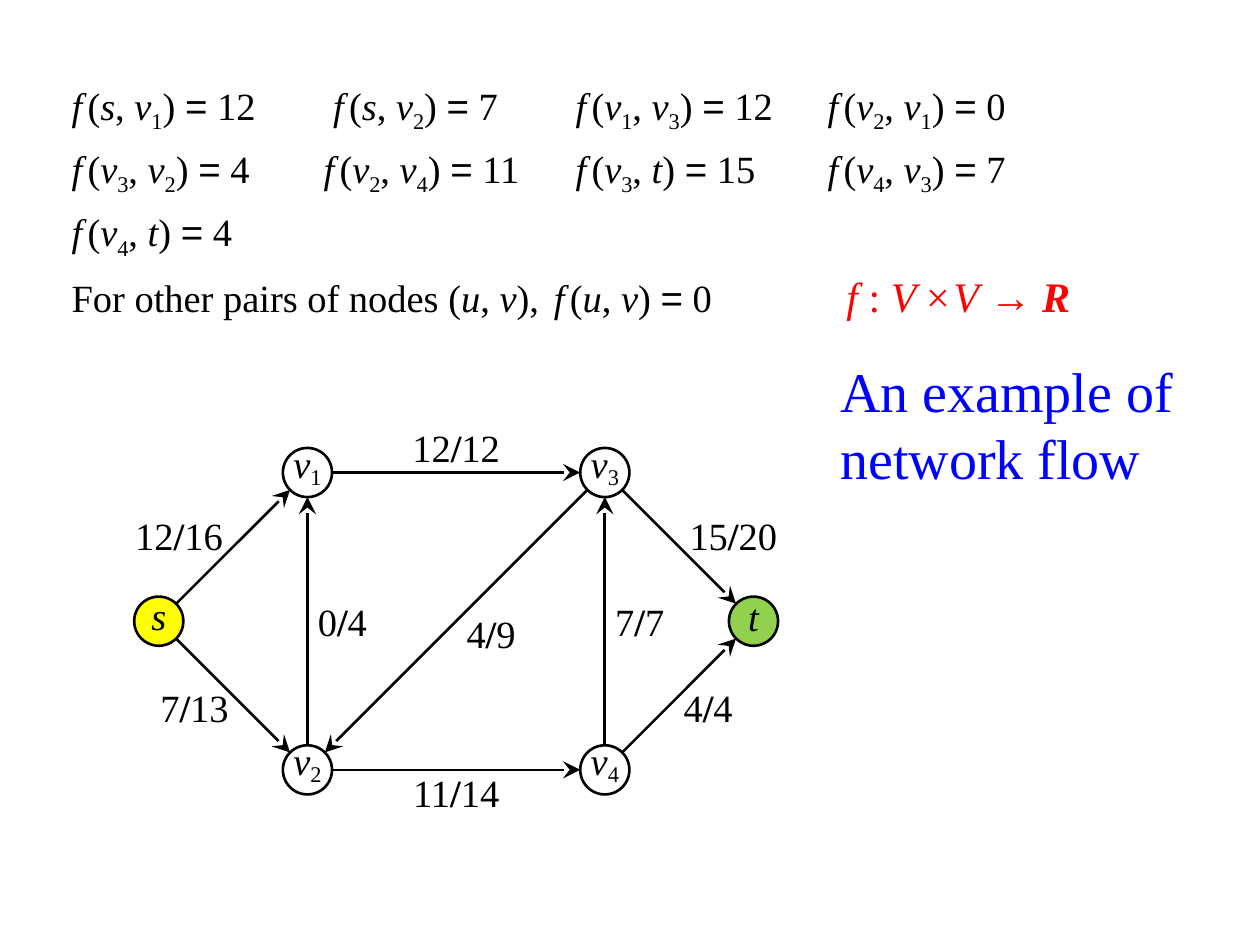
"""Build a slide showing an example of a network flow with its flow values."""
import math

import lxml.etree
import pptx
import pptx.dml.color
import pptx.enum.shapes
import pptx.enum.text
import pptx.oxml.ns
import pptx.util

ALIGN = pptx.enum.text.PP_ALIGN
ANCHOR = pptx.enum.text.MSO_ANCHOR
BLACK, RED, BLUE, WHITE = "000000", "FF0000", "0000FF", "FFFFFF"
SERIF, SANS = "Times New Roman", "Arial"
SIZE = 22

FLOW_ROWS = [
    [("s", "v1", 12), ("s", "v2", 7), ("v1", "v3", 12), ("v2", "v1", 0)],
    [("v3", "v2", 4), ("v2", "v4", 11), ("v3", "t", 15), ("v4", "v3", 7)],
    [("v4", "t", 4)],
]
FLOW_TABS = [2, 4, 6]
SIGNATURE_TAB = 6.15
SIGNATURE = [
    ("f ", {"italic": True}), (": ", {}), ("V ", {"italic": True}),
    ("×", {"spacing": 2}), ("V", {"italic": True}), (" → ", {}),
    ("R", {"bold": True, "italic": True}),
]

LEFT, TOP, STEP, DIAMETER = 1.26, 3.75, 1.18, 0.39
NODES = {
    "v1": (1, 0, WHITE, ANCHOR.BOTTOM, 0),
    "v2": (1, 2, WHITE, ANCHOR.BOTTOM, 0),
    "v3": (3, 0, WHITE, ANCHOR.BOTTOM, 0),
    "v4": (3, 2, WHITE, ANCHOR.BOTTOM, 0),
    "s": (0, 1, "FFFF00", ANCHOR.BOTTOM, 0),
    "t": (4, 1, "92D050", ANCHOR.MIDDLE, 0.08),
}
EDGES = [
    ("s", "v1", "12/16", 0.43, 0.42, ALIGN.RIGHT),
    ("v1", "v3", "12/12", 2, -0.17, ALIGN.CENTER),
    ("s", "v2", "7/13", 0.47, 1.58, ALIGN.RIGHT),
    ("v3", "t", "15/20", 3.57, 0.42, ALIGN.LEFT),
    ("v2", "v4", "11/14", 2, 2.15, ALIGN.CENTER),
    ("v4", "t", "4/4", 3.53, 1.58, ALIGN.LEFT),
    ("v3", "v2", "4/9", 2.07, 1.08, ALIGN.LEFT),
    ("v2", "v1", "0/4", 1.07, 1, ALIGN.LEFT),
    ("v4", "v3", "7/7", 3.07, 1, ALIGN.LEFT),
]
LABEL_WIDTH, LABEL_HEIGHT = 0.79, 0.39
SHIFT = {ALIGN.LEFT: 0, ALIGN.CENTER: 0.5, ALIGN.RIGHT: 1}


def color(code):
    return pptx.dml.color.RGBColor.from_string(code)


def inches(*lengths):
    return [pptx.util.Inches(length) for length in lengths]


def grid_point(column, row):
    return LEFT + column * STEP, TOP + row * STEP


def variable(name, drop=-25):
    spans = [(name[0], {"italic": True})]
    return spans + [(name[1:], {"baseline": drop})] if name[1:] else spans


def formula(first, second, value):
    return [
        ("f", {"italic": True}), (" ", {"size": 12}), ("(", {}), *variable(first),
        (", ", {}), *variable(second), (") ", {}), ("=", {"name": SANS}), (f" {value}", {}),
    ]


def add_spans(para, spans, size=SIZE, code=BLACK):
    for text, style in spans:
        span = para.add_run()
        span.text = text
        span.font.size = pptx.util.Pt(style.get("size", size))
        span.font.name = style.get("name", SERIF)
        span.font.color.rgb = color(code)
        span.font.bold = style.get("bold", False)
        span.font.italic = style.get("italic", False)
        properties = span.font._element
        if "baseline" in style:
            properties.set("baseline", str(style["baseline"] * 1000))
        if "spacing" in style:
            properties.set("spc", str(style["spacing"] * 100))


def set_tabs(para, stops):
    tabs = lxml.etree.SubElement(para._p.get_or_add_pPr(), pptx.oxml.ns.qn("a:tabLst"))
    for stop in stops:
        tab = lxml.etree.SubElement(tabs, pptx.oxml.ns.qn("a:tab"))
        tab.set("pos", str(pptx.util.Inches(stop)))
        tab.set("algn", "l")


def set_frame(frame, anchor, bottom=0):
    frame.word_wrap = True
    frame.vertical_anchor = anchor
    frame.margin_left = frame.margin_right = frame.margin_top = 0
    frame.margin_bottom = pptx.util.Inches(bottom)


def add_title(page):
    frame = page.shapes.add_textbox(*inches(6.57, 2.77, 2.95, 1.18)).text_frame
    frame.word_wrap = True
    frame.vertical_anchor = ANCHOR.MIDDLE
    add_spans(frame.paragraphs[0], [("An example of network flow", {})], 32, BLUE)


def add_flow_values(page):
    frame = page.shapes.add_textbox(*inches(0.47, 0.6, 9.06, 2.05)).text_frame
    frame.word_wrap = True
    for index, row in enumerate(FLOW_ROWS):
        para = frame.add_paragraph() if index else frame.paragraphs[0]
        para.space_before = pptx.util.Pt(6)
        set_tabs(para, FLOW_TABS)
        for column, flow in enumerate(row):
            gap = "\t " if (index, column) == (0, 1) else "\t"
            add_spans(para, ([(gap, {})] if column else []) + formula(*flow))
    para = frame.add_paragraph()
    para.space_before = pptx.util.Pt(6)
    set_tabs(para, [SIGNATURE_TAB])
    opening = [("For other pairs of nodes (", {}), *variable("u"), (", ", {}),
               *variable("v"), ("),", {}), (" ", {"spacing": 3})]
    add_spans(para, opening + formula("u", "v", 0) + [("\t", {})])
    add_spans(para, SIGNATURE, 24, RED)


def add_label(page, text, column, row, align):
    x, y = grid_point(column, row)
    box = page.shapes.add_textbox(*inches(
        x - SHIFT[align] * LABEL_WIDTH, y - LABEL_HEIGHT / 2, LABEL_WIDTH, LABEL_HEIGHT))
    set_frame(box.text_frame, ANCHOR.MIDDLE)
    para = box.text_frame.paragraphs[0]
    para.alignment = align
    flow, capacity = text.split("/")
    add_spans(para, [(flow, {}), ("/", {"bold": True}), (capacity, {})])


def add_node(page, name, column, row, fill, anchor, bottom):
    x, y = grid_point(column, row)
    node = page.shapes.add_shape(pptx.enum.shapes.MSO_SHAPE.OVAL, *inches(
        x - DIAMETER / 2, y - DIAMETER / 2, DIAMETER, DIAMETER))
    node.shadow.inherit = False
    node.fill.solid()
    node.fill.fore_color.rgb = color(fill)
    node.line.color.rgb = color(BLACK)
    node.line.width = pptx.util.Pt(1.5)
    set_frame(node.text_frame, anchor, bottom)
    para = node.text_frame.paragraphs[0]
    para.alignment = ALIGN.CENTER
    add_spans(para, variable(name, -18))


def add_edge(page, source, target):
    (x1, y1), (x2, y2) = (grid_point(*NODES[name][:2]) for name in (source, target))
    share = DIAMETER / 2 / math.dist((x1, y1), (x2, y2))
    dx, dy = (x2 - x1) * share, (y2 - y1) * share
    edge = page.shapes.add_connector(
        pptx.enum.shapes.MSO_CONNECTOR.STRAIGHT,
        *inches(x1 + dx, y1 + dy, x2 - dx, y2 - dy))
    edge.line.color.rgb = color(BLACK)
    edge.line.width = pptx.util.Pt(1.5)
    head = lxml.etree.SubElement(edge.line._get_or_add_ln(), pptx.oxml.ns.qn("a:tailEnd"))
    head.set("type", "stealth")
    head.set("w", "lg")
    head.set("len", "lg")
    lxml.etree.SubElement(edge._element.spPr, pptx.oxml.ns.qn("a:effectLst"))


def main():
    deck = pptx.Presentation()
    deck.slide_width, deck.slide_height = inches(10, 7.5)
    page = deck.slides.add_slide(deck.slide_layouts[6])
    add_title(page)
    add_flow_values(page)
    for source, target, *label in EDGES:
        add_label(page, *label)
    for name, node in NODES.items():
        add_node(page, name, *node)
    for source, target, *label in EDGES:
        add_edge(page, source, target)
    deck.save("out.pptx")


if __name__ == "__main__":
    main()
